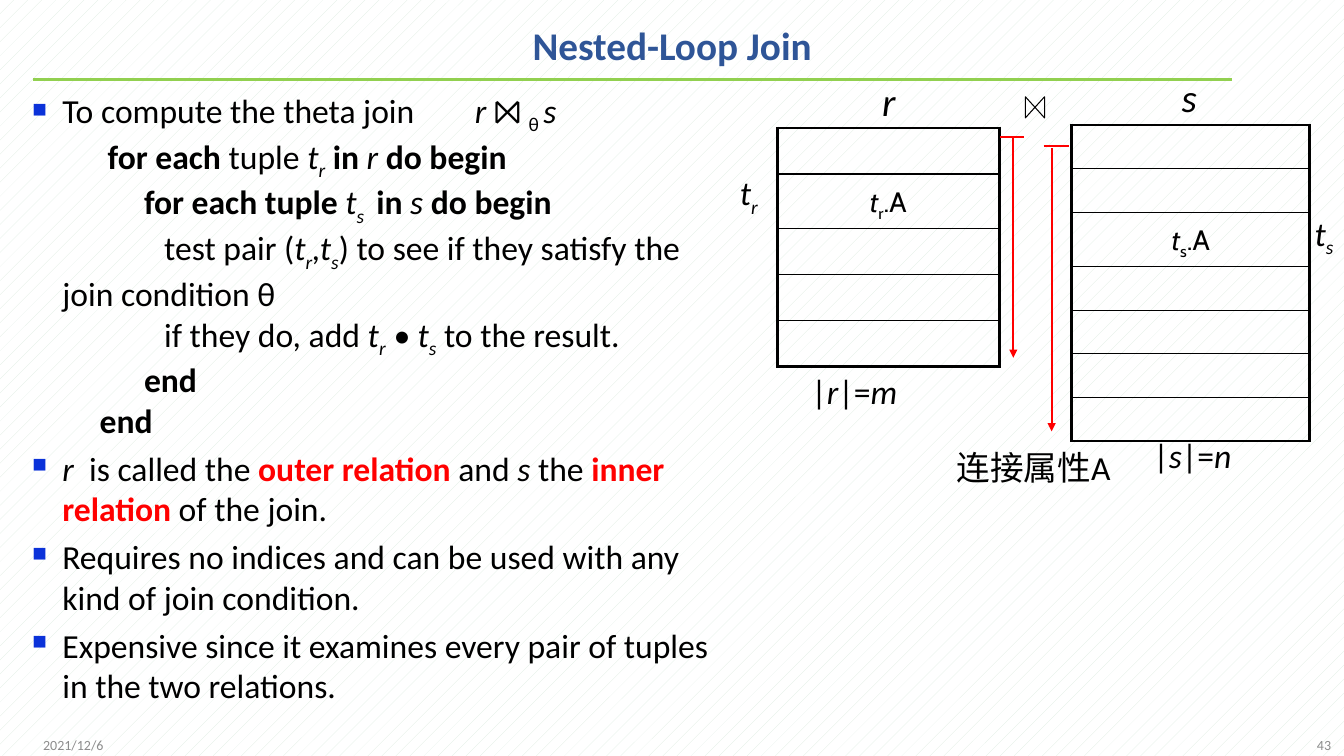
"""Build the Nested-Loop Join slide on a grid of hundredths of an inch."""
from lxml import etree
from pptx import Presentation
from pptx import util as u
from pptx.dml.color import RGBColor
from pptx.enum import dml, shapes, text
from pptx.oxml import ns

COLUMNS, ROWS = 1333, 750
CELL = u.Inches(0.01)
COLORS = {"black": "000000", "red": "FF0000", "title": "2F5597", "rule": "92D050",
          "bullet": "0B32D9", "footer": "8C8C8C", "stripe": "DCECE0", "white": "FFFFFF"}
THICK, THIN = 2.25, 1
MARGIN = 30

# Run styles: b bold, i italic, _ subscript, r red.
# Body lines: (start of first line, bulleted, runs).
BODY = [
    (0, True, [("To compute the theta join\t", ""), ("r ", "i"), ("⨝ ", ""), ("θ ", "_"), ("s", "i")]),
    (75, False, [("for each", "b"), (" tuple ", ""), ("t", "i"), ("r", "i_"), (" in ", "b"),
                 ("r", "i"), (" do begin", "b")]),
    (111, False, [("for each tuple ", "b"), ("t", "i"), ("s ", "i_"), (" in ", "b"),
                  ("s", "i"), (" do begin", "b")]),
    (131, False, [("test pair (", ""), ("t", "i"), ("r", "i_"), (",t", "i"), ("s", "i_"),
                  (") to see if they satisfy the join condition θ", "")]),
    (131, False, [("if they do, add ", ""), ("t", "i"), ("r", "i_"), (" • t", "i"), ("s", "i_"),
                  (" to the result.", "")]),
    (111, False, [("end", "b")]),
    (67, False, [("end", "b")]),
    (0, True, [("r", "i"), ("  is called the ", ""), ("outer relation ", "br"), ("and ", ""),
               ("s", "i"), (" the ", ""), ("inner relation ", "br"), ("of the join.", "")]),
    (0, True, [("Requires no indices and can be used with any kind of join condition.", "")]),
    (0, True, [("Expensive since it examines every pair of tuples in the two relations.", "")]),
]
# Labels: (left, top, width, height, size, wraps, runs).
LABELS = [
    (865, 72, 34, 57, 28, False, [("r", "i")]),
    (1162, 68, 35, 57, 28, False, [("s", "i")]),
    (939, 438, 173, 50, 24, True, [("连接属性A", "")]),
    (724, 166, 39, 50, 24, False, [("t", "i"), ("r", "i_")]),
    (1294, 206, 41, 50, 24, False, [("t", "i"), ("s", "i_")]),
    (795, 363, 107, 50, 24, False, [("|", ""), ("r", "i"), ("|=", ""), ("m", "i")]),
    (1134, 427, 99, 50, 24, False, [("|", ""), ("s", "i"), ("|=", ""), ("n", "i")]),
]
# Relations: (left, top, width, height, row count, marked row, runs).
RELATIONS = [
    (771, 127, 220, 228, 5, 1, [("t", "i"), ("r", "_"), (".A", "")]),
    (1063, 124, 236, 303, 7, 2, [("t", "i"), ("s", "_"), (".A", "")]),
]
# Scan lines: (from x, from y, to x, to y, arrow).
SCANS = [(992, 136, 1016, 136, False), (1005, 136, 1005, 355, True),
         (1043, 147, 1043, 428, True), (1035, 145, 1060, 145, False)]


def grid(*cells):
    return [CELL * cell for cell in cells]


def color(name):
    return RGBColor.from_string(COLORS[name])


def add_element(parent, tag, **attributes):
    return etree.SubElement(parent, ns.qn(tag), attributes)


def add_runs(para, runs, size, ink="black", face="Calibri"):
    for words, style in runs:
        span = para.add_run()
        span.text = words
        span.font.name, span.font.size = face, u.Pt(size)
        span.font.bold, span.font.italic = "b" in style, "i" in style
        span.font.color.rgb = color("red" if "r" in style else ink)
        if "_" in style:
            span._r.get_or_add_rPr().set("baseline", "-25000")


def add_box(page, place, wraps=True, anchor=text.MSO_ANCHOR.TOP):
    frame = page.shapes.add_textbox(*grid(*place)).text_frame
    frame.word_wrap, frame.vertical_anchor = wraps, anchor
    return frame


def add_line(page, x1, y1, x2, y2, ink, width, arrow=False):
    line = page.shapes.add_connector(shapes.MSO_CONNECTOR.STRAIGHT, *grid(x1, y1, x2, y2))
    line.line.color.rgb, line.line.width = color(ink), u.Pt(width)
    add_element(line._element.spPr, "a:effectLst")
    if arrow:
        add_element(line.line._get_or_add_ln(), "a:tailEnd", type="triangle")


def add_body(page):
    frame = add_box(page, (22, 84, 702, 636))
    for number, (start, bulleted, runs) in enumerate(BODY):
        para = frame.add_paragraph() if number else frame.paragraphs[0]
        layout = para._p.get_or_add_pPr()
        layout.set("marL", str(CELL * MARGIN))
        layout.set("indent", str(CELL * (start - MARGIN)))
        if bulleted:
            add_element(add_element(layout, "a:buClr"), "a:srgbClr", val=COLORS["bullet"])
            add_element(layout, "a:buSzPct", val="60000")
            add_element(layout, "a:buChar", char="■")
            add_element(add_element(layout, "a:tabLst"), "a:tab", pos=str(CELL * 439), algn="l")
        else:
            add_element(layout, "a:buNone")
        para.space_before = u.Pt(5.6 if bulleted and number else 0)
        add_runs(para, runs, 24)


def set_borders(cell, first, last):
    layout = cell._tc.get_or_add_tcPr()
    widths = {"L": THICK, "R": THICK, "T": THICK if first else THIN, "B": THICK if last else THIN}
    for position, (side, width) in enumerate(widths.items()):
        border = add_element(layout, f"a:ln{side}", w=str(u.Pt(width)))
        add_element(add_element(border, "a:solidFill"), "a:srgbClr", val=COLORS["black"])
        layout.insert(position, border)


def add_relation(page, left, top, width, height, count, marked, runs):
    table = page.shapes.add_table(count, 1, *grid(left, top, width, height)).table
    table.first_row = table.horz_banding = False
    for number in range(count):
        cell = table.cell(number, 0)
        cell.fill.background()
        set_borders(cell, number == 0, number == count - 1)
        if number == marked:
            cell.margin_top = CELL * 11
            para = cell.text_frame.paragraphs[0]
            para.alignment = text.PP_ALIGN.CENTER
            add_runs(para, runs, 20, face="Cabin")


def main():
    deck = Presentation()
    deck.slide_width, deck.slide_height = grid(COLUMNS, ROWS)
    page = deck.slides.add_slide(deck.slide_layouts[6])
    fill = page.background.fill
    fill.patterned()
    fill.pattern = dml.MSO_PATTERN.PERCENT_5
    fill.fore_color.rgb, fill.back_color.rgb = color("stripe"), color("white")

    add_line(page, 33, 79, 1222, 79, "rule", 2.25)
    middle = text.MSO_ANCHOR.MIDDLE
    title = add_box(page, (34, 9, 1265, 77), anchor=middle).paragraphs[0]
    title.alignment, title.line_spacing = text.PP_ALIGN.CENTER, 0.9
    add_runs(title, [("Nested-Loop Join", "b")], 28, "title")
    add_body(page)
    for left, words, side in ((33, "2021/12/6", text.PP_ALIGN.LEFT), (1030, "43", text.PP_ALIGN.RIGHT)):
        footer = add_box(page, (left, 719, 300, 40), anchor=middle).paragraphs[0]
        footer.alignment = side
        add_runs(footer, [(words, "")], 10, "footer")

    bowtie = page.shapes.add_shape(shapes.MSO_SHAPE.FLOWCHART_COLLATE, *grid(1016, 97, 21, 19))
    bowtie.rotation = 90
    bowtie.shadow.inherit = False
    bowtie.fill.background()
    bowtie.line.color.rgb, bowtie.line.width = color("black"), u.Pt(0.75)

    for relation in RELATIONS:
        add_relation(page, *relation)
    for *place, size, wraps, runs in LABELS:
        frame = add_box(page, place, wraps)
        frame.auto_size = text.MSO_AUTO_SIZE.SHAPE_TO_FIT_TEXT
        add_runs(frame.paragraphs[0], runs, size)
    for *ends, arrow in SCANS:
        add_line(page, *ends, "red", 1.5, arrow)
    deck.save("out.pptx")


if __name__ == "__main__":
    main()
